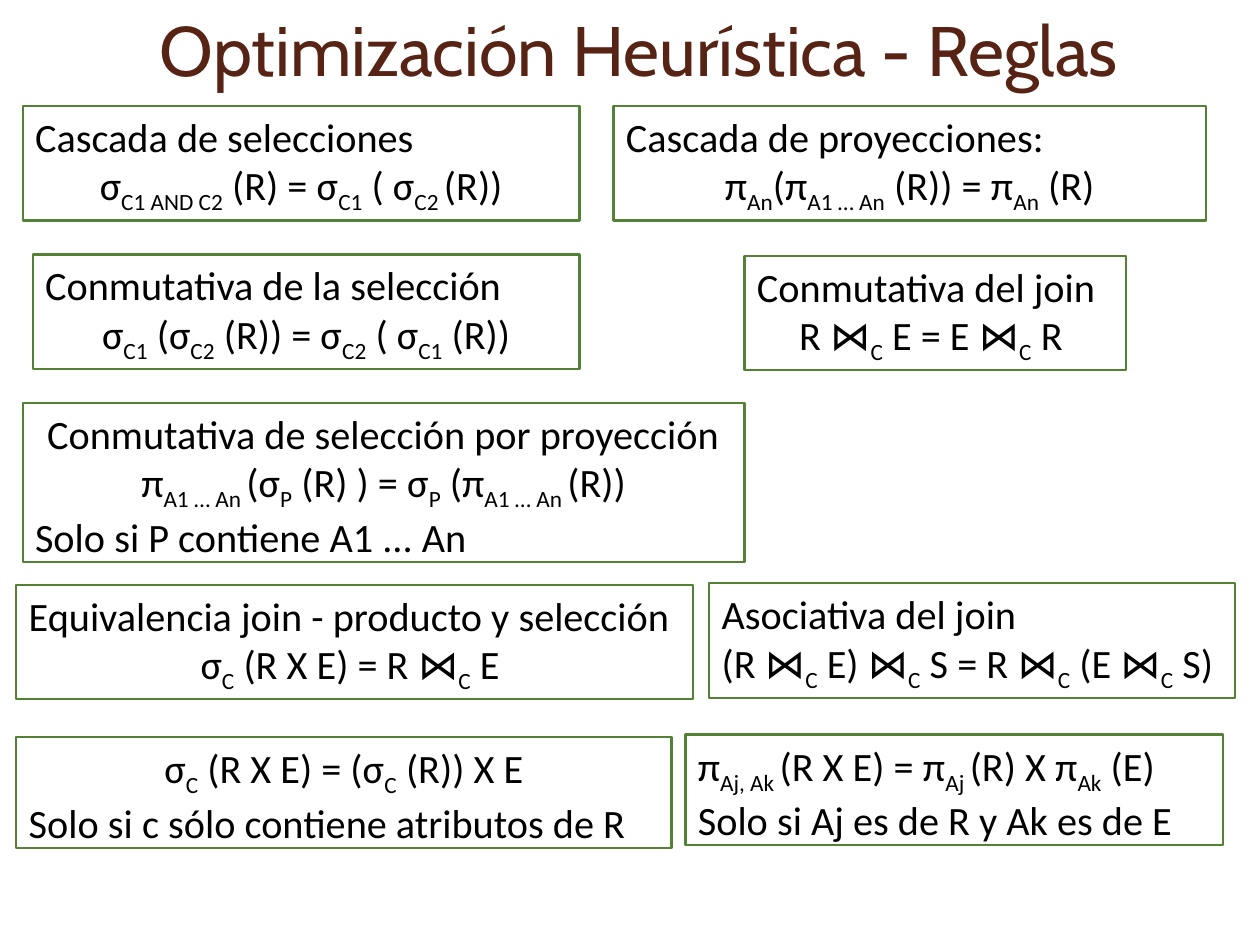
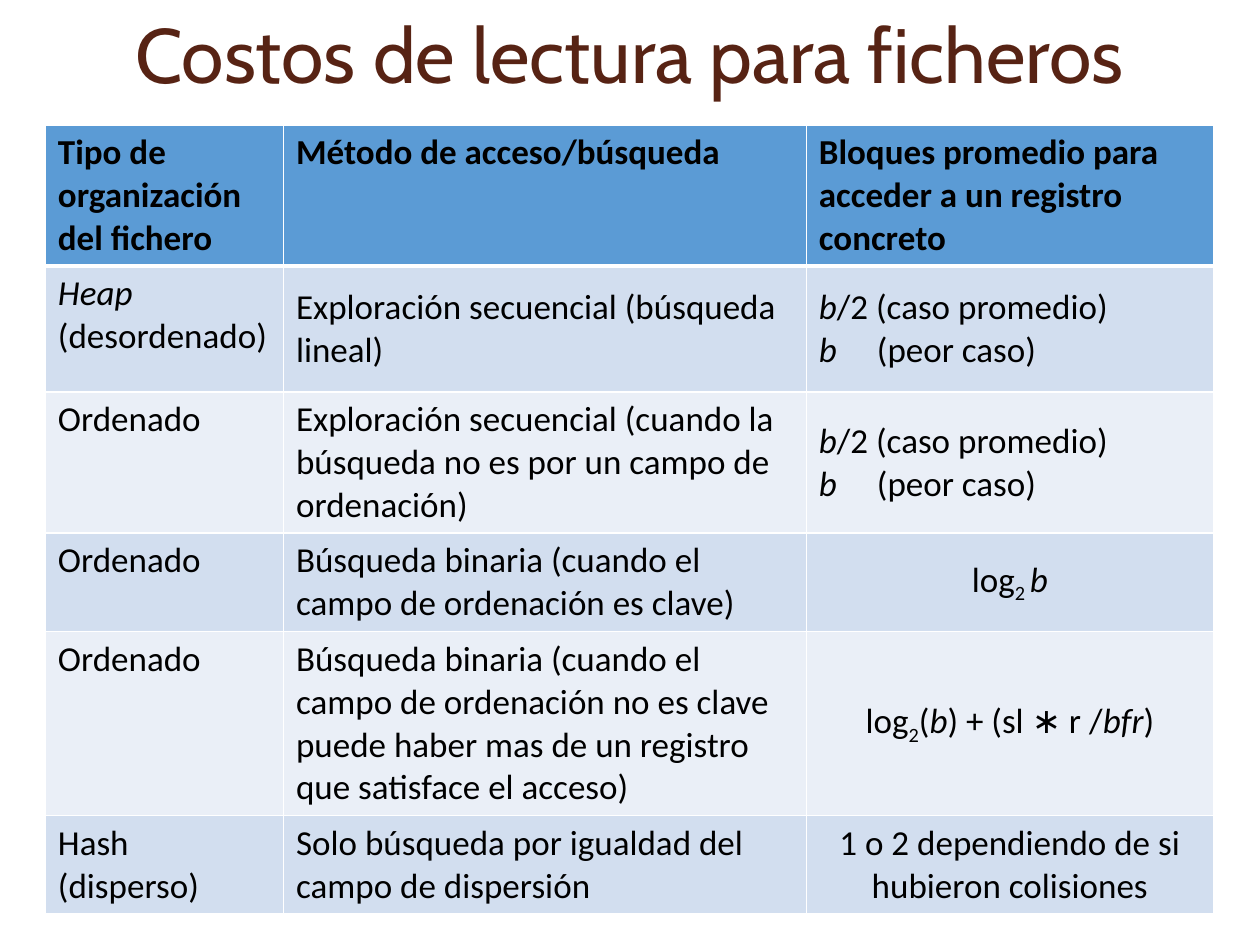
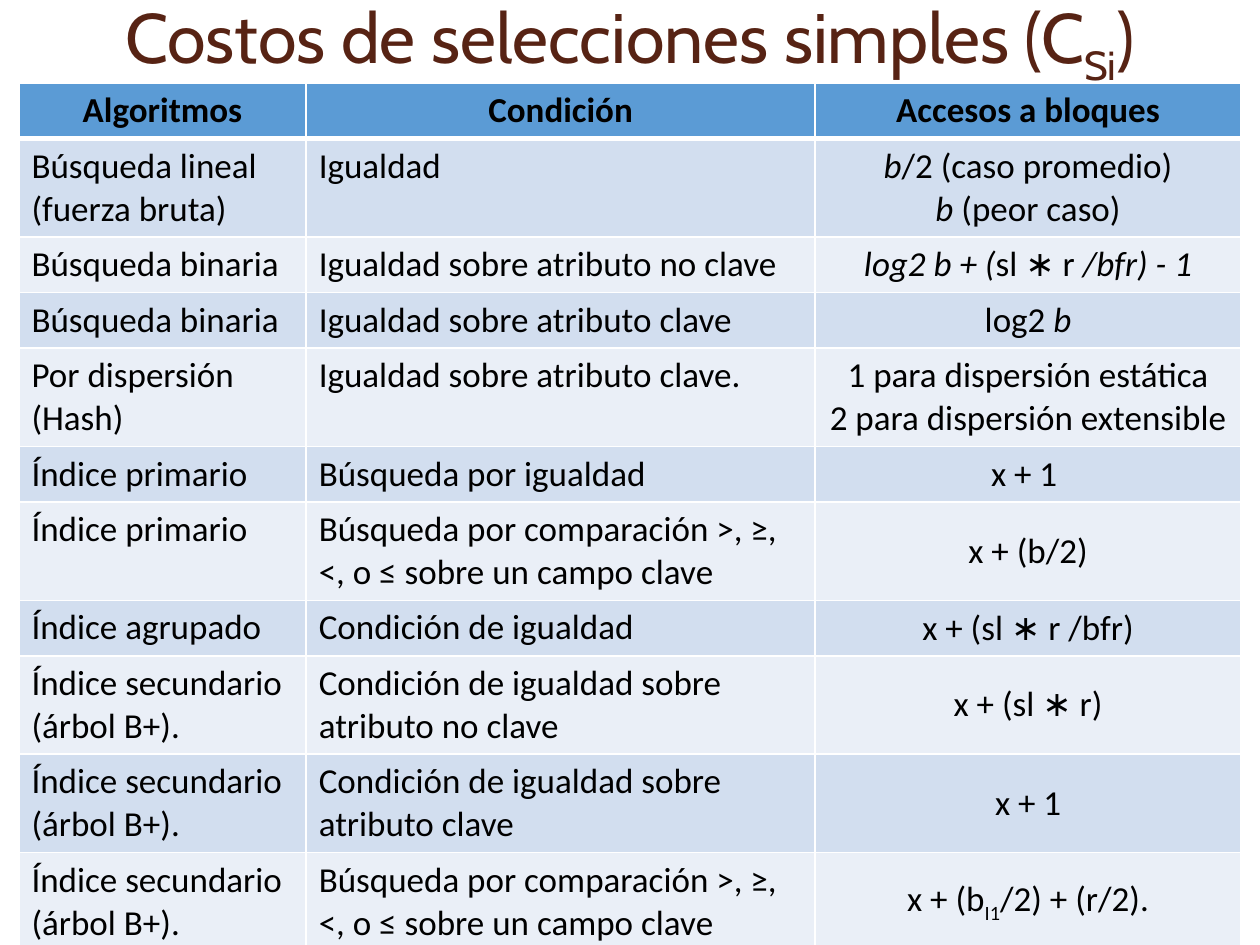
import pptx
import pptx.util
import pptx.dml.color
import pptx.enum.shapes
import pptx.enum.text
import pptx.oxml
import pptx.oxml.ns
from dataclasses import dataclass

Inches = pptx.util.Inches
Pt = pptx.util.Pt
ALIGN = pptx.enum.text.PP_ALIGN
ANCHOR = pptx.enum.text.MSO_ANCHOR


@dataclass(frozen=True)
class Theme:
    title: str = "572314"
    ink: str = "000000"
    edge: str = "548235"
    head: str = "5B9BD5"
    bands: tuple = ("D2DEEF", "EAEFF7")
    grid: str = "FFFFFF"
    display: str = "Cabin"
    body: str = "Calibri"
    rule_size: int = 23
    cell_size: int = 20


THEME = Theme()

# Markup: ^ centres a line, ~x~ is a subscript, *x* is italic.
RULES = [
    (0.18, 0.84, 4.42, 0.91, True,
     "Cascada de selecciones\n^σ~C1 AND C2~ (R) = σ~C1~ ( σ~C2 ~(R))"),
    (4.87, 0.84, 4.7, 0.91, True,
     "Cascada de proyecciones:\n^π~An~(π~A1 … An~ (R)) = π~An~ (R)"),
    (0.26, 2.02, 4.34, 0.91, True,
     "Conmutativa de la selección\n^σ~C1~ (σ~C2~ (R)) = σ~C2~ ( σ~C1~ (R))"),
    (5.91, 2.03, 3.03, 0.91, False,
     "Conmutativa del join\n^R ⋈~C~ E = E ⋈~C~ R "),
    (0.18, 3.2, 5.73, 1.26, True,
     "^Conmutativa de selección por proyección\n"
     "^π~A1 … An ~(σ~P~ (R) ) = σ~P~ (π~A1 … An ~(R))\n"
     "Solo si P contiene A1 ... An"),
    (0.13, 4.64, 5.37, 0.91, True,
     "Equivalencia join - producto y selección\n^σ~C~ (R X E) = R ⋈~C~ E "),
    (5.63, 4.63, 4.17, 0.91, True,
     "Asociativa del join\n(R ⋈~C~ E) ⋈~C~ S = R ⋈~C~ (E ⋈~C~ S)"),
    (0.13, 5.85, 5.2, 0.88, True,
     "^σ~C~ (R X E) = (σ~C~ (R)) X E\nSolo si c sólo contiene atributos de R"),
    (5.44, 5.83, 4.27, 0.88, True,
     "π~Aj, Ak ~(R X E) = π~Aj ~(R) X π~Ak~ (E)\nSolo si Aj es de R y Ak es de E"),
]

SCAN = "*b*/2 (caso promedio)\n*b*\t(peor caso)"
FILES = [
    (1.1, "Tipo de organización del fichero", "Método de acceso/búsqueda",
     "Bloques promedio para acceder a un registro concreto"),
    (1.0, "*Heap *(desordenado)", "Exploración secuencial (búsqueda lineal)", SCAN),
    (1.1, "Ordenado",
     "Exploración secuencial (cuando la búsqueda no es por un campo de ordenación)", SCAN),
    (0.77, "Ordenado", "Búsqueda binaria (cuando el campo de ordenación es clave)",
     "^log~2 ~*b*"),
    (1.43, "Ordenado",
     "Búsqueda binaria (cuando el campo de ordenación no es clave puede haber mas de "
     "un registro que satisface el acceso)", "^log~2~(*b*) + (sl ∗ r /*bfr*)"),
    (0.77, "Hash (disperso)", "Solo búsqueda por igualdad del campo de dispersión",
     "^1 o 2 dependiendo de si hubieron colisiones"),
]

ONE, TWO = 0.43, 0.77
TREE = "Índice secundario (árbol B+)."
RANGE = "Búsqueda por comparación >, ≥, <, o ≤ sobre un campo clave"
COSTS = [
    (ONE, "^Algoritmos", "^Condición", "^Accesos a bloques"),
    (TWO, "Búsqueda lineal (fuerza bruta)", "Igualdad",
     "^*b*/2 (caso promedio)\n^*b *(peor caso)"),
    (ONE, "Búsqueda binaria", "Igualdad sobre atributo no clave",
     "^*log2 b + (*sl ∗ r */bfr) - 1*"),
    (ONE, "Búsqueda binaria", "Igualdad sobre atributo clave", "^log2 *b*"),
    (TWO, "Por dispersión (Hash)", "Igualdad sobre atributo clave.",
     "^1 para dispersión estática\n^2 para dispersión extensible"),
    (ONE, "Índice primario", "Búsqueda por igualdad", "^x + 1 "),
    (TWO, "Índice primario", RANGE, "^x + (b/2)"),
    (ONE, "Índice agrupado", "Condición de igualdad", "^x + (sl ∗ r /bfr)"),
    (TWO, TREE, "Condición de igualdad sobre atributo no clave", "^x + (sl ∗ r)"),
    (TWO, TREE, "Condición de igualdad sobre atributo clave", "^x + 1"),
    (TWO, TREE, RANGE, "^x + (b~I1~/2) + (r/2)."),
]


def tint(code):
    return pptx.dml.color.RGBColor.from_string(code)


def node(xml):
    return pptx.oxml.parse_xml(xml.replace(">", " " + pptx.oxml.ns.nsdecls("a") + ">", 1))


def write(frame, text, size=THEME.cell_size, face=THEME.body, color=THEME.ink, bold=False):
    for n, line in enumerate(text.split("\n")):
        para = frame.paragraphs[0] if n == 0 else frame.add_paragraph()
        para.alignment = ALIGN.CENTER if line.startswith("^") else ALIGN.LEFT
        if "\t" in line:
            para._p.get_or_add_pPr().append(node(
                f'<a:tabLst><a:tab pos="{Inches(0.46)}" algn="l"/></a:tabLst>'))
        for i, part in enumerate(line.removeprefix("^").split("~")):
            for j, piece in enumerate(part.split("*")):
                if not piece:
                    continue
                run = para.add_run()
                run.text = piece
                font = run.font
                font.size, font.name, font.bold = Pt(size), face, bold
                font.italic = j % 2 == 1
                font.color.rgb = tint(color)
                if i % 2:
                    font._element.set("baseline", "-25000")


def start(deck, text, size, x=0, y=0, high=0.83):
    slide = deck.slides.add_slide(deck.slide_layouts[5])
    box = slide.shapes.title
    box.left, box.top, box.width, box.height = map(Inches, (x, y, 10, high))
    frame = box.text_frame
    frame.auto_size = pptx.enum.text.MSO_AUTO_SIZE.NONE
    frame.vertical_anchor = ANCHOR.MIDDLE
    write(frame, "^" + text, size=size, face=THEME.display, color=THEME.title)
    return slide


def add_rule(slide, x, y, wide, high, wrap, text):
    box = slide.shapes.add_shape(pptx.enum.shapes.MSO_SHAPE.RECTANGLE,
                                 *map(Inches, (x, y, wide, high)))
    box.shadow.inherit = False
    box.fill.background()
    box.line.color.rgb = tint(THEME.edge)
    box.line.width = Pt(1.25)
    frame = box.text_frame
    frame.word_wrap = wrap
    frame.vertical_anchor = ANCHOR.TOP
    write(frame, text, size=THEME.rule_size)


def add_grid(slide, x, y, cols, rows, mid):
    high = sum(row[0] for row in rows)
    table = slide.shapes.add_table(len(rows), len(cols),
                                   *map(Inches, (x, y, sum(cols), high))).table
    table.horz_banding = False
    for c, wide in enumerate(cols):
        table.columns[c].width = Inches(wide)
    for r, (high, *texts) in enumerate(rows):
        table.rows[r].height = Inches(high)
        for c, text in enumerate(texts):
            cell = table.cell(r, c)
            cell.vertical_anchor = ANCHOR.MIDDLE if r and c >= mid else ANCHOR.TOP
            for side in "LRTB":
                thick = Pt(3 if (r, side) in ((0, "B"), (1, "T")) else 1)
                cell._tc.get_or_add_tcPr().append(node(
                    f'<a:ln{side}><a:solidFill><a:srgbClr val="{THEME.grid}"/>'
                    f'</a:solidFill></a:ln{side}>'))
                cell._tc.tcPr[-1].set("w", str(thick))
            cell.fill.solid()
            cell.fill.fore_color.rgb = tint(THEME.bands[(r - 1) % 2] if r else THEME.head)
            write(cell.text_frame, text, bold=r == 0)


def main():
    deck = pptx.Presentation()
    deck.slide_width, deck.slide_height = Inches(10), Inches(7.5)

    slide = start(deck, "Optimización Heurística - Reglas", 40, x=0.07, y=-0.03)
    for rule in RULES:
        add_rule(slide, *rule)

    slide = start(deck, "Costos de lectura para ficheros", 44)
    add_grid(slide, 0.36, 0.99, (1.89, 4.15, 3.23), FILES, mid=1)

    slide = start(deck, "Costos de selecciones simples (C~Si~)", 40, high=0.65)
    add_grid(slide, 0.15, 0.66, (2.28, 4.04, 3.38), COSTS, mid=2)

    deck.save("out.pptx")


if __name__ == "__main__":
    main()
